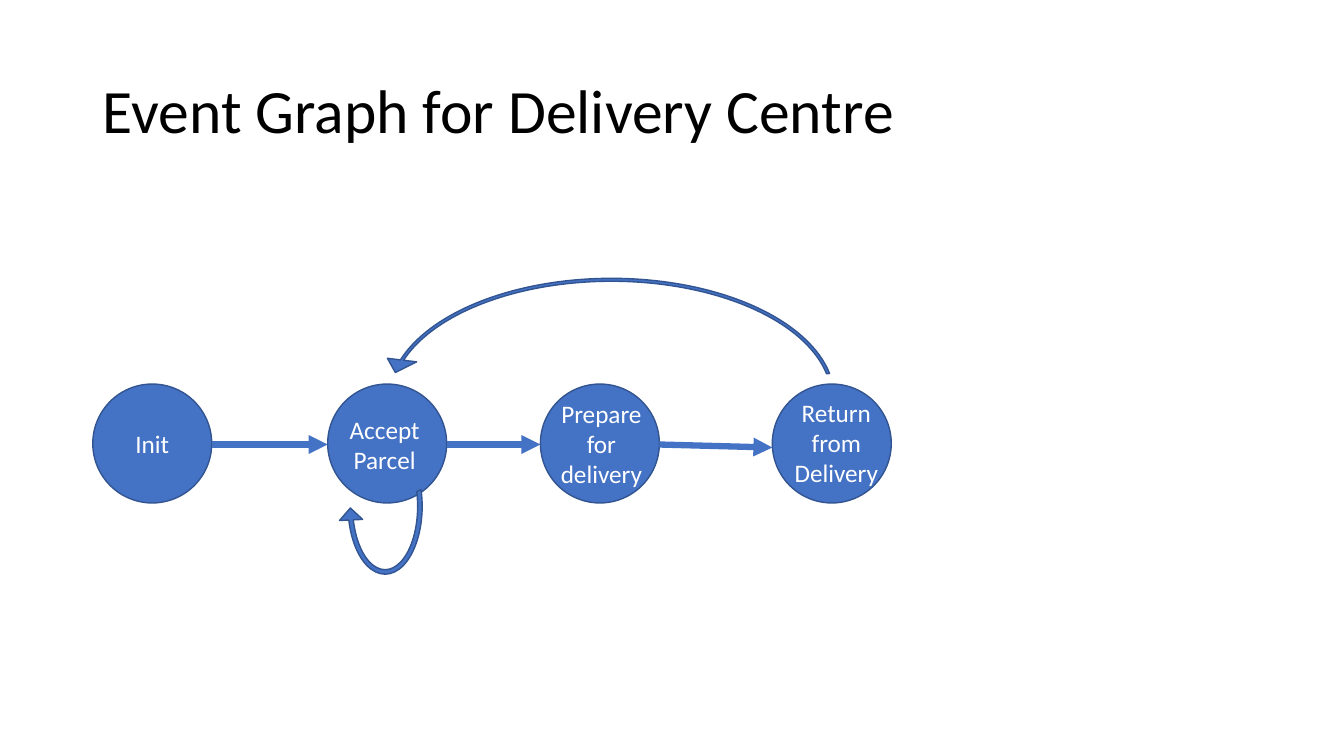
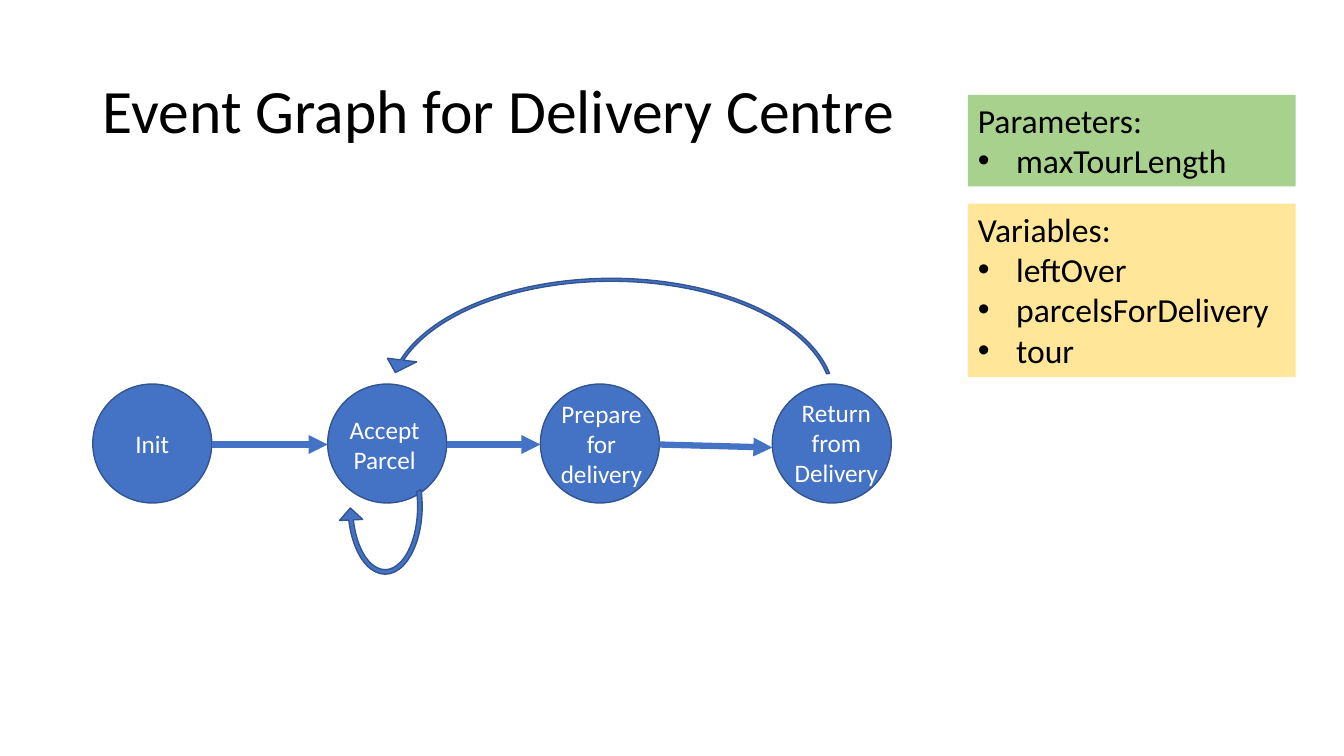
from lxml import etree
from pptx import Presentation
from pptx.dml.color import RGBColor
from pptx.enum import shapes as kinds, text as txt
from pptx.oxml import ns
from pptx.util import Inches, Pt

BLUE = RGBColor(0x44, 0x72, 0xC4)
DARK_BLUE = RGBColor(0x32, 0x54, 0x91)
GREEN = RGBColor(0xA9, 0xD1, 0x8E)
YELLOW = RGBColor(0xFF, 0xE6, 0x99)
BLACK = RGBColor(0, 0, 0)
WHITE = RGBColor(0xFF, 0xFF, 0xFF)

TITLE = "Event Graph for Delivery Centre"
DIAMETER, EVENT_TOP = 1.18, 3.81
ARROW_Y = 4.41

# Circle left edge, label box, label paragraphs
EVENTS = [
    (0.92, (1.09, 4.2, 0.84, 0.4), ["Init"]),
    (3.25, (3.07, 4.06, 1.49, 0.71), ["Accept Parcel"]),
    (5.36, (5.22, 3.9, 1.49, 1.01), ["Prepare", "for", "delivery"]),
    (7.66, (7.75, 3.89, 1.09, 1.01), ["Return from Delivery"]),
]
ARROW_END_YS = [ARROW_Y, ARROW_Y, 4.44]

# Box, flipped axes, adjustments in percent
RETURN_ARROWS = [
    ((3.36, 4.26, 0.92, 1.53), ("flipH", "flipV"), (4.9, 1142.3, 20301.7, 9288.7, 12.5)),
    ((3.72, 2.63, 4.69, 2.66), ("flipH",), (1.1, 212.6, 20966.7, 11202.8, 5.5)),
]

# Top, height, fill, heading, items
STATE_BOXES = [
    (0.94, 0.91, GREEN, "Parameters:", ["maxTourLength"]),
    (2.02, 1.72, YELLOW, "Variables:", ["leftOver", "parcelsForDelivery", "tour"]),
]


def add_run(paragraph, words, size, color):
    run = paragraph.add_run()
    run.text = words
    run.font.name = "Calibri"
    run.font.size = Pt(size)
    run.font.color.rgb = color


def add_blue_shape(parent, kind, box):
    """Add a filled, outlined part of the event graph."""
    shape = parent.shapes.add_shape(kind, *map(Inches, box))
    shape.shadow.inherit = False
    shape.fill.solid()
    shape.fill.fore_color.rgb = BLUE
    shape.line.color.rgb = DARK_BLUE
    shape.line.width = Pt(1)
    return shape


prs = Presentation()
prs.slide_width, prs.slide_height = Inches(13.33), Inches(7.5)

for state_boxes in ([], STATE_BOXES):
    slide = prs.slides.add_slide(prs.slide_layouts[5])
    title = slide.shapes.title
    title.left, title.top = Inches(0.92), Inches(0.4)
    title.width, title.height = Inches(11.5), Inches(1.45)
    title.text_frame.vertical_anchor = txt.MSO_ANCHOR.MIDDLE
    heading_line = title.text_frame.paragraphs[0]
    heading_line.alignment = txt.PP_ALIGN.LEFT
    heading_line.line_spacing = 0.9
    add_run(heading_line, TITLE, 44, BLACK)

    for top, height, color, heading, items in state_boxes:
        state = slide.shapes.add_textbox(Inches(9.6), Inches(top), Inches(3.25), Inches(height))
        state.fill.solid()
        state.fill.fore_color.rgb = color
        frame = state.text_frame
        frame.word_wrap = True
        frame.auto_size = txt.MSO_AUTO_SIZE.SHAPE_TO_FIT_TEXT
        add_run(frame.paragraphs[0], heading, 24, BLACK)
        for item in items:
            paragraph = frame.add_paragraph()
            props = paragraph._p.get_or_add_pPr()
            props.set("marL", str(Inches(0.38)))
            props.set("indent", str(-Inches(0.38)))
            etree.SubElement(props, ns.qn("a:buFont")).set("typeface", "Arial")
            etree.SubElement(props, ns.qn("a:buChar")).set("char", "•")
            add_run(paragraph, item, 24, BLACK)

    graph = slide.shapes.add_group_shape()
    for left, label_box, lines in EVENTS:
        add_blue_shape(graph, kinds.MSO_SHAPE.OVAL, (left, EVENT_TOP, DIAMETER, DIAMETER))
        label = graph.shapes.add_textbox(*map(Inches, label_box))
        frame = label.text_frame
        frame.word_wrap = True
        frame.auto_size = txt.MSO_AUTO_SIZE.SHAPE_TO_FIT_TEXT
        for index, line in enumerate(lines):
            paragraph = frame.add_paragraph() if index else frame.paragraphs[0]
            paragraph.alignment = txt.PP_ALIGN.CENTER
            add_run(paragraph, line, 18, WHITE)

    for source, target, end_y in zip(EVENTS, EVENTS[1:], ARROW_END_YS):
        arrow = graph.shapes.add_connector(
            kinds.MSO_CONNECTOR.STRAIGHT,
            Inches(source[0] + DIAMETER), Inches(ARROW_Y), Inches(target[0]), Inches(end_y))
        arrow.line.color.rgb = BLUE
        arrow.line.width = Pt(4.5)
        etree.SubElement(arrow.line._get_or_add_ln(), ns.qn("a:tailEnd")).set("type", "triangle")
        etree.SubElement(arrow._element.spPr, ns.qn("a:effectLst"))

    for box, flips, percentages in RETURN_ARROWS:
        return_arrow = add_blue_shape(graph, kinds.MSO_SHAPE.CIRCULAR_ARROW, box)
        for flip in flips:
            return_arrow._element.spPr.xfrm.set(flip, "1")
        for index, percentage in enumerate(percentages):
            return_arrow.adjustments[index] = percentage / 100

prs.save("out.pptx")
